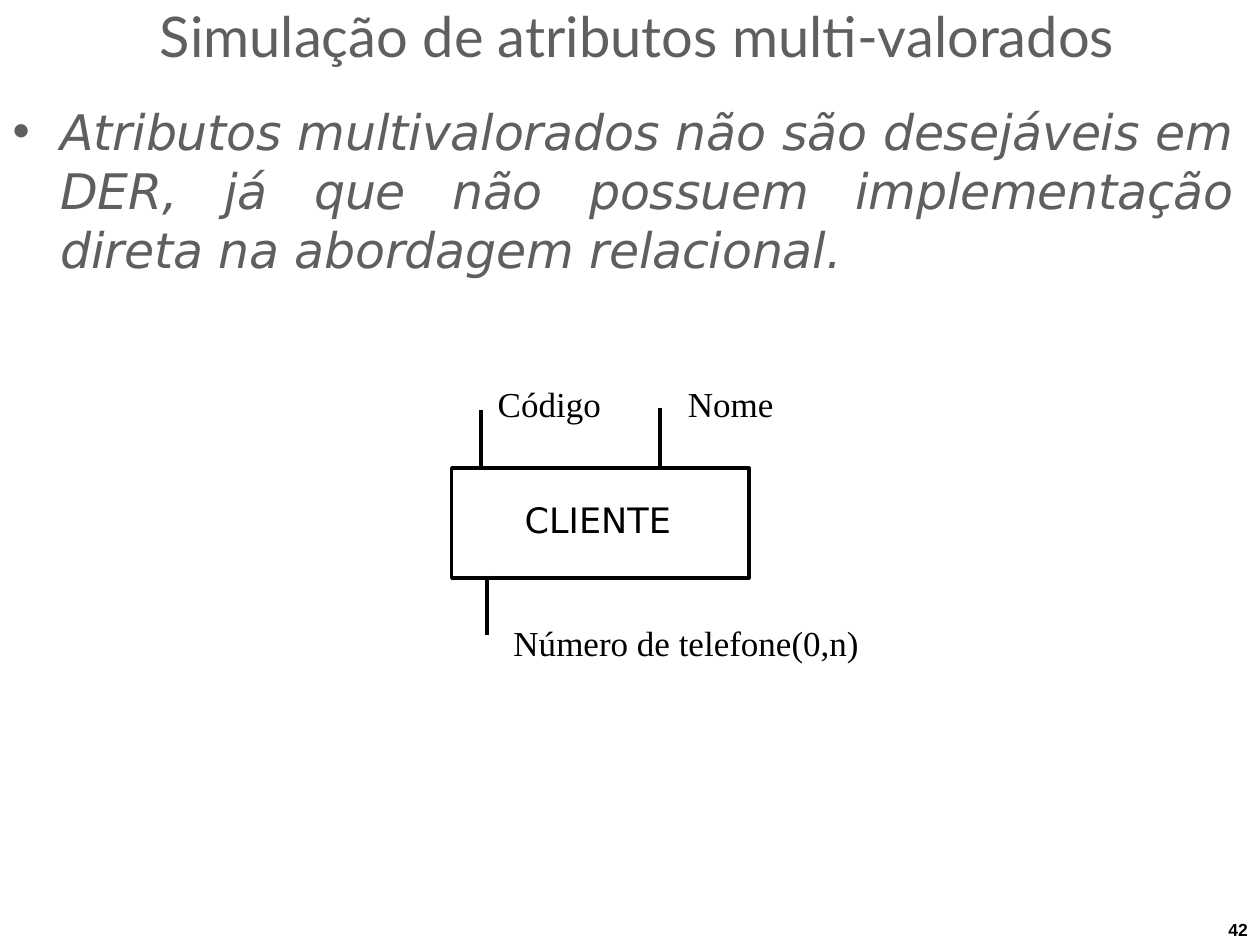
from lxml import etree
from pptx import Presentation
from pptx.dml.color import RGBColor
from pptx.enum.shapes import MSO_CONNECTOR as LINK, MSO_SHAPE as SHAPE
from pptx.enum.text import MSO_ANCHOR as ANCHOR, PP_ALIGN as ALIGN
from pptx.oxml.ns import qn
from pptx.util import Inches, Pt

BLACK = RGBColor(0x00, 0x00, 0x00)
GRAY = RGBColor(0x5F, 0x5F, 0x5F)
WHITE = RGBColor(0xFF, 0xFF, 0xFF)

deck = Presentation()
deck.slide_width, deck.slide_height = Inches(10), Inches(7.5)
page = deck.slides.add_slide(deck.slide_layouts[6])


def share(across, down):
    """Turn percentages of the slide's width and height into lengths."""
    return (int(deck.slide_width * across / 100),
            int(deck.slide_height * down / 100))


def write(box, text, look, align=ALIGN.LEFT, top=0.01):
    frame = box.text_frame
    frame.word_wrap = True
    frame.margin_left = frame.margin_right = frame.margin_bottom = 0
    frame.margin_top = Inches(top)
    para = frame.paragraphs[0]
    para.alignment = align
    span = para.add_run()
    span.text = text
    for name, value in look.items():
        if name == "color":
            span.font.color.rgb = value
        else:
            setattr(span.font, name, value)
    return para


TITLE = {"name": "Lato", "size": Pt(32), "color": GRAY}
BODY = {"name": "DejaVu Sans", "size": Pt(28), "color": GRAY, "italic": True}
ENTITY = {"name": "DejaVu Sans", "size": Pt(20), "color": BLACK}
LABEL = {"name": "Times New Roman", "size": Pt(20), "color": BLACK}
NUMBER = {"name": "Arial", "size": Pt(10), "color": BLACK, "bold": True}

# Title
title = page.shapes.add_textbox(*share(12.7, 0), *share(76.4, 7.47))
write(title, "Simulação de atributos multi-valorados", TITLE)

# Bulleted statement; a no-break space keeps "direta na" on one line
body = page.shapes.add_textbox(*share(0.9, 10.6), *share(97, 34.13))
statement = write(
    body,
    "Atributos multivalorados não são desejáveis em DER, já que não possuem "
    "implementação direta na abordagem relacional.",
    BODY, ALIGN.JUSTIFY)
props = statement._p.get_or_add_pPr()
props.set("marL", str(Inches(0.39)))
props.set("indent", str(Inches(-0.38)))
etree.SubElement(props, qn("a:buFont")).set("typeface", "Arial")
etree.SubElement(props, qn("a:buChar")).set("char", "•")
statement.runs[0]._r.get_or_add_rPr().set("spc", "-10")

# Entity
entity = page.shapes.add_shape(SHAPE.RECTANGLE, *share(35.85, 49.55), *share(23.6, 11.6))
entity.shadow.inherit = False
entity.fill.solid()
entity.fill.fore_color.rgb = WHITE
entity.line.color.rgb = BLACK
entity.line.width = Pt(2.04)
write(entity, "CLIENTE", ENTITY, top=0.24)
entity.text_frame.margin_left = Inches(0.58)
entity.text_frame.vertical_anchor = ANCHOR.TOP

# Attributes: stem left and top, label text, label left, top and width
STEM = 6.27
attributes = [
    (38.2, 43.4, "Código", 39.5, 40.35, 12),
    (52.4, 43.15, "Nome", 54.6, 40.35, 12),
    (38.65, 60.93, "Número de telefone(0,n)", 40.75, 65.6, 29),
]
for stem_x, stem_y, name, left, top, width in attributes:
    stem = page.shapes.add_connector(
        LINK.STRAIGHT, *share(stem_x, stem_y), *share(stem_x, stem_y + STEM))
    stem.line.color.rgb = BLACK
    stem.line.width = Pt(2.28)
    etree.SubElement(stem._element.spPr, qn("a:effectLst"))
    label = page.shapes.add_textbox(*share(left, top), *share(width, 4.8))
    write(label, name, LABEL)

# Page number
number = page.shapes.add_textbox(*share(97.5, 97.25), *share(2.3, 2.4))
write(number, "42", NUMBER, top=0)

deck.save("out.pptx")
